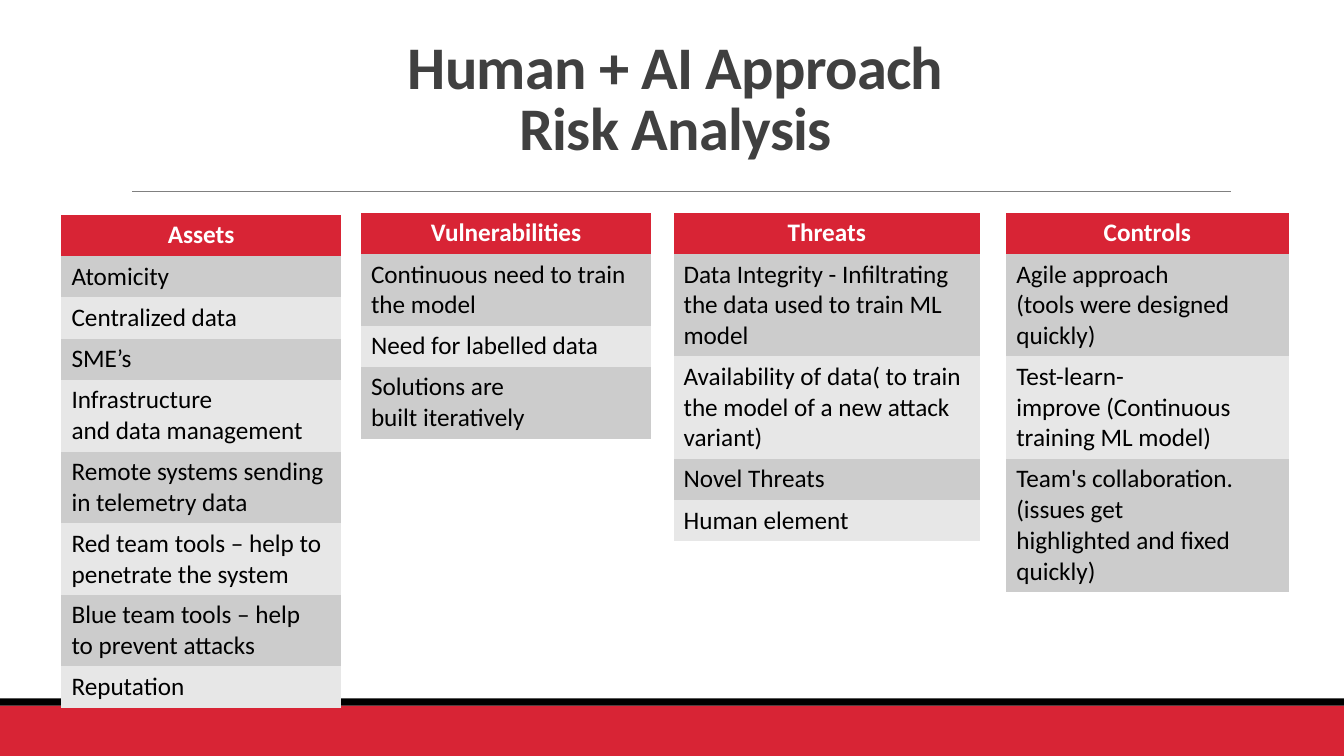
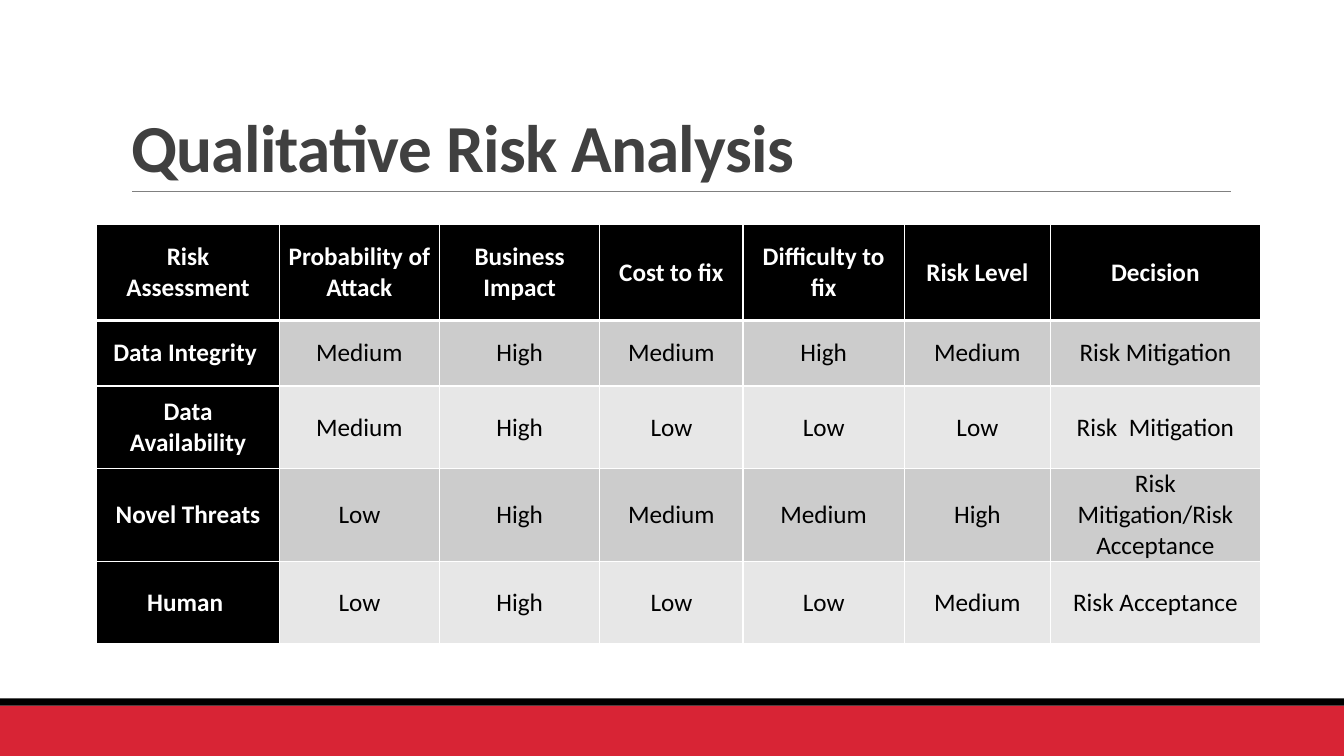
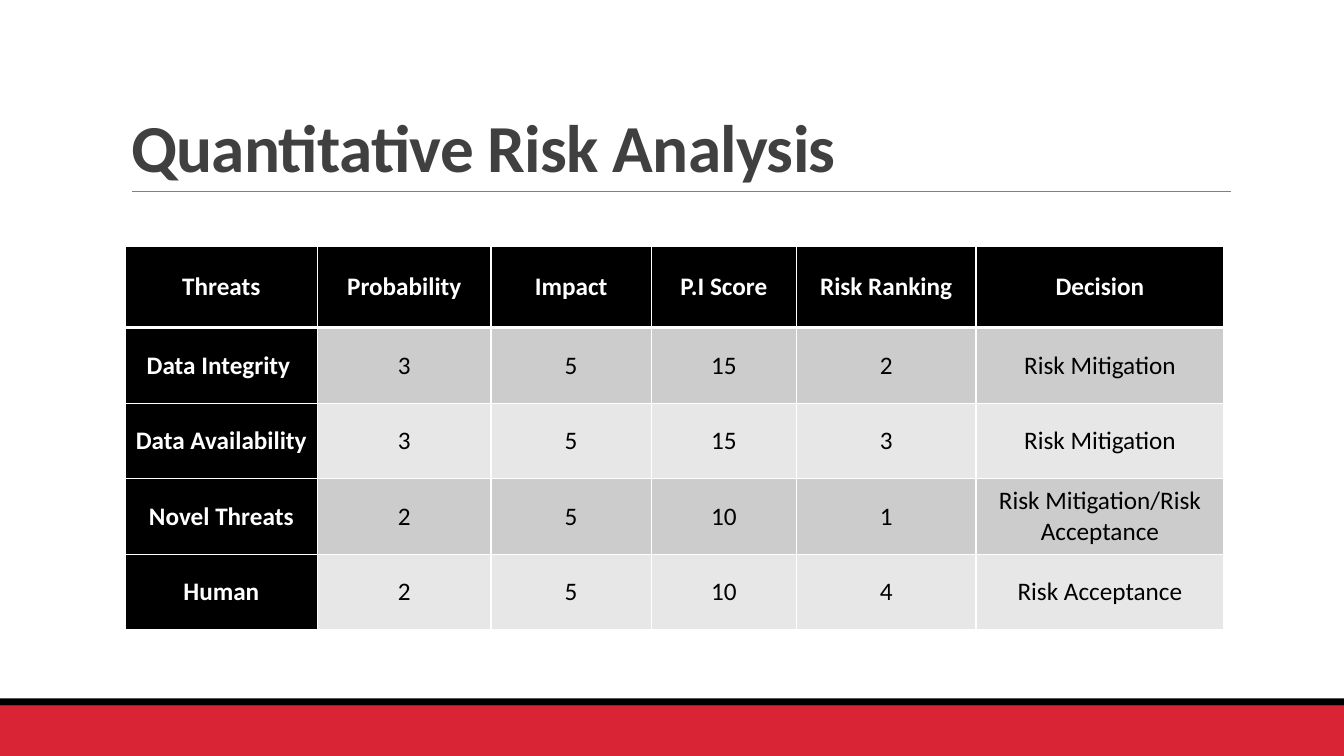
from dataclasses import dataclass

from lxml.etree import SubElement
from pptx import Presentation
from pptx.dml.color import RGBColor
from pptx.enum.shapes import MSO_CONNECTOR, MSO_SHAPE
from pptx.enum.text import MSO_ANCHOR, PP_ALIGN
from pptx.oxml import parse_xml
from pptx.oxml.ns import nsdecls, qn
from pptx.util import Inches, Pt


@dataclass(frozen=True)
class Theme:
    font: str = "Calibri"
    red: str = "D82435"
    black: str = "000000"
    white: str = "FFFFFF"
    title: str = "404040"
    rule: str = "808080"
    stripes: tuple = ("CCCCCC", "E7E7E7")
    title_size: float = 48
    long_title_size: float = 43.2
    cell_size: float = 18


THEME = Theme()
NO_TABLE_STYLE = "{2D5ABB26-0587-4C30-8999-92F81FD0307C}"
TIE, HARD_SPACE = "~", chr(160)  # a tie keeps two words on one line

# left, top, width, heading, items
RISK_LISTS = [
    (0.61, 2.13, 2.77, "Assets", [
        "Atomicity", "Centralized~data", "SME’s",
        "Infrastructure and~data~management",
        "Remote systems~sending in~telemetry~data",
        "Red team tools – help~to penetrate the~system",
        "Blue team tools – help\nto~prevent~attacks", "Reputation"]),
    (3.58, 2.11, 2.88, "Vulnerabilities", [
        "Continuous need to~train the model", "Need for labelled~data",
        "Solutions are built~iteratively"]),
    (6.68, 2.11, 3.04, "Threats", [
        "Data Integrity -~Infiltrating the data~used to train ML model",
        "Availability of data( to~train the model of a~new attack variant)",
        "Novel~Threats", "Human~element"]),
    (9.98, 2.11, 2.8, "Controls", [
        "Agile approach (tools~were designed quickly)",
        "Test-learn-improve~(Continuous training ML~model)",
        "Team's collaboration. (issues get highlighted~and fixed quickly)"]),
]

MATRICES = [
    {
        "title": "Qualitative Risk Analysis",
        "at": (0.96, 2.23),
        "widths": [1.81, 1.59, 1.59, 1.42, 1.6, 1.45, 2.08],
        "heights": [0.95, 0.65, 0.82, 0.92, 0.82],
        "rows": [
            ["Risk Assessment", "Probability of Attack", "Business\nImpact", "Cost to fix",
             "Difficulty to fix", "Risk Level", "Decision"],
            ["Data Integrity~", "Medium", "High", "Medium", "High", "Medium",
             "Risk Mitigation"],
            ["Data Availability", "Medium", "High", "Low", "Low", "Low", "Risk~ Mitigation"],
            ["Novel Threats", "Low", "High", "Medium", "Medium", "High",
             "Risk Mitigation/Risk Acceptance"],
            ["Human~", "Low", "High", "Low", "Low", "Medium", "Risk Acceptance"],
        ],
    },
    {
        "title": "Quantitative Risk Analysis",
        "at": (1.24, 2.44),
        "widths": [1.91, 1.72, 1.59, 1.44, 1.78, 2.46],
        "heights": [0.81, 0.75, 0.75, 0.75, 0.75],
        "rows": [
            ["Threats", "Probability", "Impact", "P.I Score", "Risk Ranking", "Decision"],
            ["Data Integrity~", "3", "5", "15", "2", "Risk Mitigation"],
            ["Data Availability", "3", "5", "15", "3", "Risk Mitigation"],
            ["Novel~Threats", "2", "5", "10", "1", "Risk Mitigation/Risk Acceptance"],
            ["Human", "2", "5", "10", "4", "Risk~Acceptance"],
        ],
    },
]


def rgb(value):
    return RGBColor.from_string(value)


def write(frame, text, size, color, bold, align):
    """Fill the frame's first paragraph, one run per line."""
    para = frame.paragraphs[0]
    para.alignment = align
    for index, line in enumerate(text.replace(TIE, HARD_SPACE).split("\n")):
        if index:
            para.add_line_break()
        span = para.add_run()
        span.text = line
        span.font.name = THEME.font
        span.font.size = Pt(size)
        span.font.bold = bold
        span.font.color.rgb = rgb(color)
    return para


def add_page(deck, layout, title, top=0.31, size=THEME.title_size, align=PP_ALIGN.LEFT):
    page = deck.slides.add_slide(layout)
    box = page.shapes.title
    box.left, box.top = Inches(1.2), Inches(top)
    box.width, box.height = Inches(11), Inches(1.59)
    box.text_frame.vertical_anchor = MSO_ANCHOR.BOTTOM
    para = write(box.text_frame, title, size, THEME.title, True, align)
    para.line_spacing = 0.85
    for span in para.runs:
        span.font._element.set("spc", "-50")
    return page


def decorate_layout(layout, page):
    """Draw the bands and title rule on a page, then move them to its layout."""
    parts = []
    for top, height, color in ((7, 0.5, THEME.red), (6.93, 0.07, THEME.black)):
        band = page.shapes.add_shape(MSO_SHAPE.RECTANGLE, 0, Inches(top),
                                     Inches(13.33), Inches(height))
        band.shadow.inherit = False
        band.fill.solid()
        band.fill.fore_color.rgb = rgb(color)
        band.line.fill.background()
        parts.append(band)
    rule = page.shapes.add_connector(MSO_CONNECTOR.STRAIGHT, Inches(1.31), Inches(1.9),
                                     Inches(12.21), Inches(1.9))
    rule.line.color.rgb = rgb(THEME.rule)
    rule.line.width = Pt(0.5)
    SubElement(rule.element.spPr, qn("a:effectLst"))
    for part in parts + [rule]:
        layout.shapes.element.append(part.element)


def add_plain_table(page, left, top, widths, heights):
    frame = page.shapes.add_table(len(heights), len(widths), Inches(left), Inches(top),
                                  Inches(sum(widths)), Inches(sum(heights)))
    table = frame.table
    table.first_row = table.horz_banding = False
    frame.element.find(".//" + qn("a:tableStyleId")).text = NO_TABLE_STYLE
    for column, width in zip(table.columns, widths):
        column.width = Inches(width)
    for row, height in zip(table.rows, heights):
        row.height = Inches(height)
    return table


def fill_cell(cell, text, fill, heading, align):
    cell.fill.solid()
    cell.fill.fore_color.rgb = rgb(fill)
    color = THEME.white if heading else THEME.black
    write(cell.text_frame, text, THEME.cell_size, color, heading, align)


def add_borders(cell, top, bottom):
    properties = cell._tc.get_or_add_tcPr()
    sides = (("lnL", 1), ("lnR", 1), ("lnT", top), ("lnB", bottom))
    for index, (side, width) in enumerate(sides):
        properties.insert(index, parse_xml(
            f'<a:{side} {nsdecls("a")} w="{Pt(width)}"><a:solidFill>'
            f'<a:srgbClr val="{THEME.white}"/></a:solidFill></a:{side}>'))


def add_risk_list(page, left, top, width, heading, items):
    table = add_plain_table(page, left, top, [width], [0.41] * (len(items) + 1))
    fill_cell(table.cell(0, 0), heading, THEME.red, True, PP_ALIGN.CENTER)
    for index, item in enumerate(items):
        fill_cell(table.cell(index + 1, 0), item, THEME.stripes[index % 2], False,
                  PP_ALIGN.LEFT)


def add_matrix(page, matrix):
    table = add_plain_table(page, *matrix["at"], matrix["widths"], matrix["heights"])
    for r, row in enumerate(matrix["rows"]):
        for c, text in enumerate(row):
            cell = table.cell(r, c)
            heading = r == 0 or c == 0
            fill = THEME.black if heading else THEME.stripes[(r - 1) % 2]
            fill_cell(cell, text, fill, heading, PP_ALIGN.CENTER)
            cell.vertical_anchor = MSO_ANCHOR.MIDDLE
            cell.margin_left = cell.margin_right = Inches(0.07)
            cell.margin_top = cell.margin_bottom = 0
            add_borders(cell, top=3 if r == 1 else 1, bottom=3 if r == 0 else 1)


def main():
    deck = Presentation()
    deck.slide_width, deck.slide_height = Inches(13.33), Inches(7.5)
    layout = deck.slide_layouts.get_by_name("Title Only")
    page = add_page(deck, layout, "Human + AI Approach\nRisk Analysis", top=0.08,
                    size=THEME.long_title_size, align=PP_ALIGN.CENTER)
    decorate_layout(layout, page)
    for risk_list in RISK_LISTS:
        add_risk_list(page, *risk_list)
    for matrix in MATRICES:
        add_matrix(add_page(deck, layout, matrix["title"]), matrix)
    deck.save("out.pptx")


if __name__ == "__main__":
    main()
